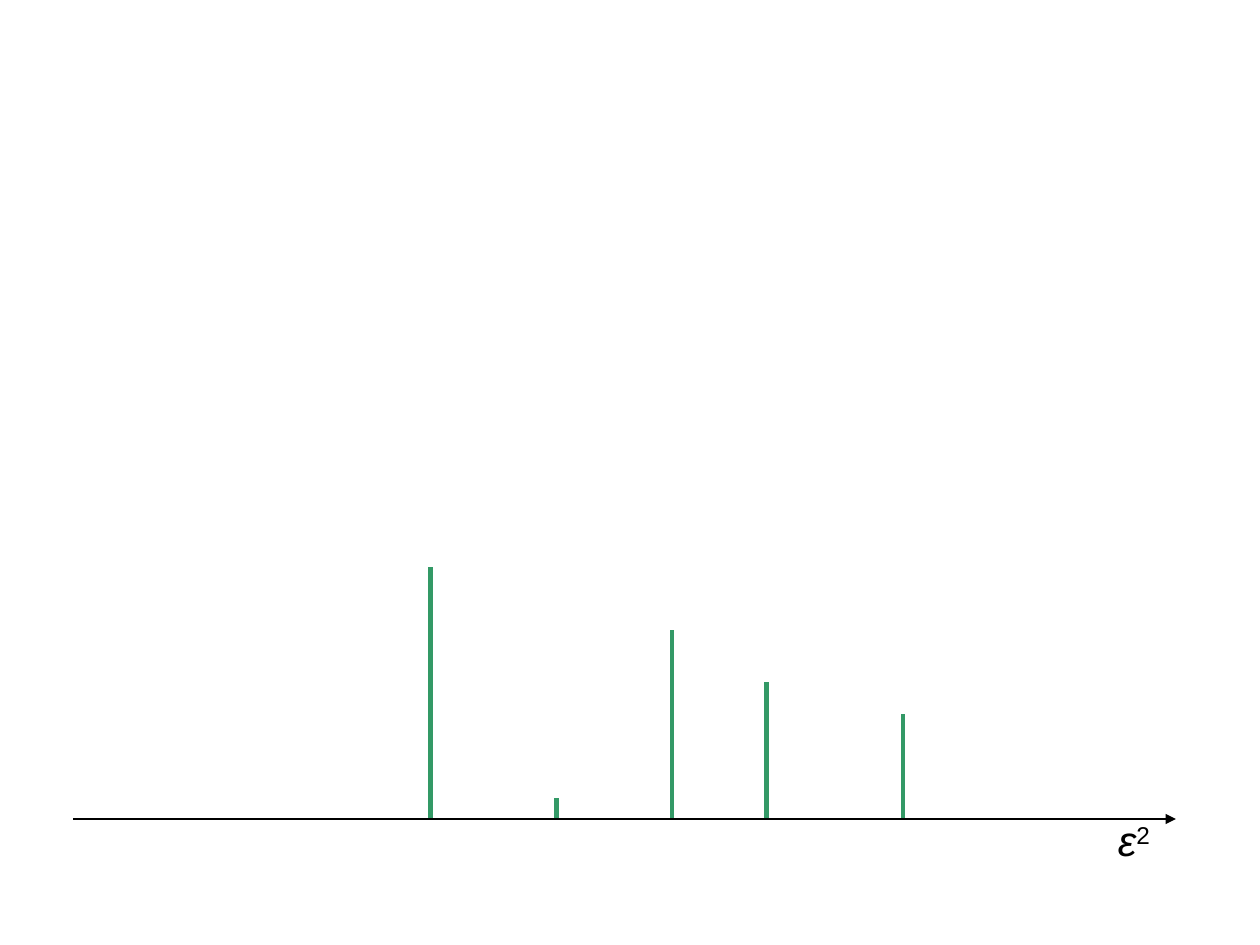
from lxml import etree
from pptx import Presentation
from pptx.dml.color import RGBColor
from pptx.enum.dml import MSO_THEME_COLOR
from pptx.enum.shapes import MSO_CONNECTOR
from pptx.enum.text import MSO_ANCHOR, PP_ALIGN
from pptx.oxml.ns import qn
from pptx.util import Pt

STRAIGHT = MSO_CONNECTOR.STRAIGHT
MIDDLE = MSO_ANCHOR.MIDDLE
CENTER = PP_ALIGN.CENTER
BLANK_LAYOUT = 6

BLACK = "000000"
GREEN = "339966"
AXIS_Y = 468


def color(hex_code):
    return RGBColor.from_string(hex_code)


def add_line(start, end, hex_code, width):
    line = slide.shapes.add_connector(STRAIGHT, *(Pt(v) for v in (*start, *end)))
    line.line.color.rgb = color(hex_code)
    line.line.width = Pt(width)
    etree.SubElement(line._element.spPr, qn("a:effectLst"))
    return line


prs = Presentation()
prs.slide_width, prs.slide_height = Pt(720), Pt(540)
slide = prs.slides.add_slide(prs.slide_layouts[BLANK_LAYOUT])

# Spectral lines: position on the axis and height
for x, height in [(246, 144), (318, 12), (384, 108), (438, 78), (516, 60)]:
    add_line((x, AXIS_Y), (x, AXIS_Y - height), GREEN, 2.5)

# Horizontal axis with arrowhead
axis = add_line((42, AXIS_Y), (672, AXIS_Y), BLACK, 0.75)
etree.SubElement(axis.line._get_or_add_ln(), qn("a:tailEnd"), type="triangle")

# Axis label ε²
axis_label = slide.shapes.add_textbox(Pt(624), Pt(462), Pt(48), Pt(36))
frame = axis_label.text_frame
frame.word_wrap = True
frame.vertical_anchor = MIDDLE
paragraph = frame.paragraphs[0]
paragraph.alignment = CENTER
for symbol, italic in [("ε", True), ("2", False)]:
    run = paragraph.add_run()
    run.text = symbol
    for attribute, value in {"name": "Arial", "size": Pt(24), "italic": italic}.items():
        setattr(run.font, attribute, value)
    run.font.color.rgb = color(BLACK)
exponent = paragraph.runs[-1]
exponent.font._element.set("baseline", "30000")

prs.save("out.pptx")
